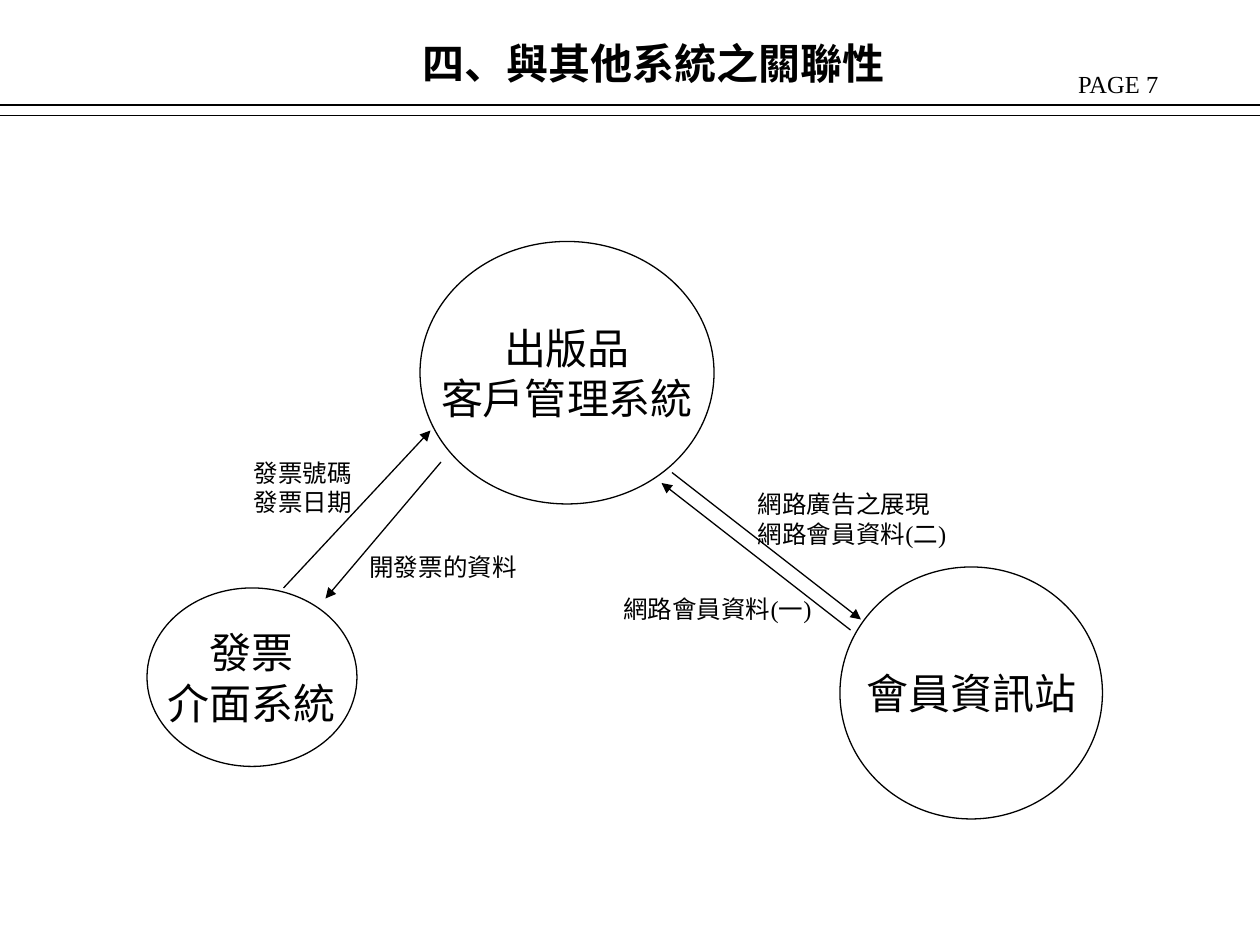
from lxml.etree import SubElement
from pptx import Presentation
from pptx.dml.color import RGBColor
from pptx.enum.shapes import MSO_CONNECTOR, MSO_SHAPE
from pptx.enum.text import MSO_ANCHOR, MSO_AUTO_SIZE, PP_ALIGN
from pptx.oxml.ns import qn
from pptx.util import Pt

COLORS = {"ink": "000000", "paper": "FFFFFF"}
LATIN_FONT = "Times New Roman"
TITLE_FONT = "Noto Sans CJK SC"
SLIDE_WIDTH, SLIDE_HEIGHT = 720, 540


def color(key):
    return RGBColor.from_string(COLORS[key])


def write_text(shape, text, size=14, font=LATIN_FONT, bold=False,
               align=PP_ALIGN.LEFT, anchor=MSO_ANCHOR.TOP, wrap=False):
    frame = shape.text_frame
    frame.text = text
    frame.auto_size = MSO_AUTO_SIZE.NONE
    frame.word_wrap = wrap
    frame.vertical_anchor = anchor
    frame.margin_left = frame.margin_right = Pt(7.2)
    frame.margin_top = frame.margin_bottom = Pt(3.6)
    for paragraph in frame.paragraphs:
        paragraph.alignment = align
        for run in paragraph.runs:
            run.font.size = Pt(size)
            run.font.name = font
            run.font.bold = bold
            run.font.color.rgb = color("ink")


def add_title(slide, text):
    title = slide.shapes.title
    title.left, title.top, title.width, title.height = Pt(234), Pt(18), Pt(306), Pt(36)
    write_text(title, text, size=24, font=TITLE_FONT, bold=True,
               anchor=MSO_ANCHOR.MIDDLE, wrap=True)


def add_label(slide, text, left, top, width, height, wrap=False):
    label = slide.shapes.add_textbox(Pt(left), Pt(top), Pt(width), Pt(height))
    write_text(label, text, wrap=wrap)


def add_system(slide, text, left, top, width, height):
    system = slide.shapes.add_shape(MSO_SHAPE.OVAL, Pt(left), Pt(top), Pt(width), Pt(height))
    system.shadow.inherit = False
    system.fill.background()
    system.line.color.rgb = color("ink")
    system.line.width = Pt(0.75)
    write_text(system, text, size=24, align=PP_ALIGN.CENTER, anchor=MSO_ANCHOR.MIDDLE)


def add_line(slide, start, end, arrow=False):
    line = slide.shapes.add_connector(MSO_CONNECTOR.STRAIGHT, *map(Pt, start + end))
    line.line.color.rgb = color("ink")
    line.line.width = Pt(0.75)
    if arrow:
        SubElement(line.line._get_or_add_ln(), qn("a:tailEnd"), type="triangle")
    SubElement(line._element.spPr, qn("a:effectLst"))


def main():
    deck = Presentation()
    deck.slide_width, deck.slide_height = Pt(SLIDE_WIDTH), Pt(SLIDE_HEIGHT)
    slide = deck.slides.add_slide(deck.slide_layouts[5])
    slide.background.fill.solid()
    slide.background.fill.fore_color.rgb = color("paper")

    # Header with its double rule
    add_label(slide, "PAGE 7", 609, 36, 111, 24.5, wrap=True)
    add_title(slide, "四、與其他系統之關聯性")
    for rule_y in (60, 66):
        add_line(slide, (0, rule_y), (SLIDE_WIDTH, rule_y))

    # Systems
    add_system(slide, "出版品\n客戶管理系統", 240, 138, 168, 150)
    add_system(slide, "發票\n介面系統", 84, 336, 120, 102)
    add_system(slide, "會員資訊站", 480, 324, 150, 144)

    # Data flows
    for start, end in (
        ((252, 264), (186, 342)),
        ((162, 336), (246, 246)),
        ((384, 270), (492, 354)),
        ((486, 360), (378, 276)),
    ):
        add_line(slide, start, end, arrow=True)

    # Flow labels
    add_label(slide, "網路廣告之展現\n網路會員資料(二)", 426, 276, 138, 41)
    add_label(slide, "網路會員資料(一)", 349, 336, 132, 24.5)
    add_label(slide, "開發票的資料", 204, 312, 98.5, 24.5)
    add_label(slide, "發票號碼\n發票日期", 138, 258, 70.5, 41)

    deck.save("out.pptx")


if __name__ == "__main__":
    main()
